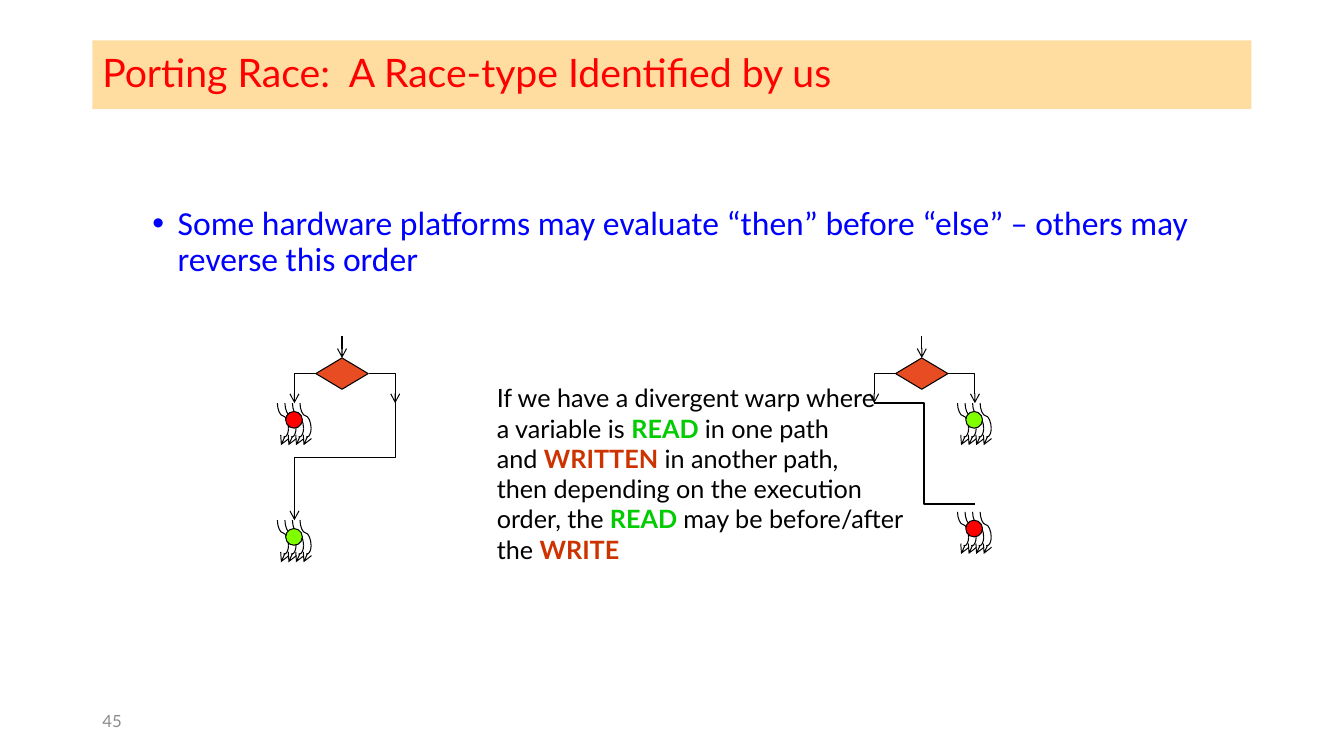
"""Build the slide on porting races in divergent warps."""
from lxml import etree
from pptx import Presentation
from pptx import util as u
from pptx.dml.color import RGBColor
from pptx.enum import shapes, text
from pptx.oxml.ns import qn

COLORS = {
    "band": "FFBD47", "title": "FF0000", "bullet": "0000FF", "number": "8C8C8C",
    "black": "000000", "decision": "E84C22", "write_dot": "FF0000", "read_dot": "80FF00",
    "read": "00CC00", "write": "CC3300",
}
TITLE = "Porting Race:  A Race-type Identified by us"
BULLET = "Some hardware platforms may evaluate “then” before “else” – others may reverse this order"
NUMBER = "45"
EXPLANATION = [
    [("If we have a divergent warp where", "black")],
    [("a variable is ", "black"), ("READ ", "read"), ("in one path", "black")],
    [("and ", "black"), ("WRITTEN", "write"), (" in another path,", "black")],
    [("then depending on the execution", "black")],
    [("order, the", "black"), (" READ ", "read"), ("may be before/after", "black")],
    [("the ", "black"), ("WRITE", "write")],
]
BRANCH_CENTERS = [8.62, 23.23]
WARPS = [
    (6.99, 10.16, "write_dot"), (6.99, 13.11, "read_dot"),
    (24.13, 12.9, "write_dot"), (24.13, 10.16, "read_dot"),
]
THREADS, THREAD_STEP = 4, 0.19

presentation = Presentation()
presentation.slide_width, presentation.slide_height = u.Cm(33.87), u.Cm(19.05)
slide = presentation.slides.add_slide(presentation.slide_layouts[6])


def color(name):
    """Return the named colour."""
    return RGBColor.from_string(COLORS[name])


def add_text(left, top, width, height):
    """Add a wrapping text box and return its frame."""
    box = slide.shapes.add_textbox(u.Cm(left), u.Cm(top), u.Cm(width), u.Cm(height))
    box.text_frame.word_wrap = True
    return box.text_frame


def style(font, size, name, family="Lato", bold=False):
    """Set size, colour, family and weight of a font."""
    font.size, font.name, font.bold = u.Pt(size), family, bold
    font.color.rgb = color(name)


def add_preset(kind, left, top, width, height, fill):
    """Add a filled preset shape without shadow."""
    shape = slide.shapes.add_shape(kind, u.Cm(left), u.Cm(top), u.Cm(width), u.Cm(height))
    shape.shadow.inherit = False
    shape.fill.solid()
    shape.fill.fore_color.rgb = color(fill)
    shape.line.color.rgb = color("black")
    shape.line.width = u.Pt(0.75)
    return shape


def add_line(preset, start, end, rotation=0, flip=False, arrow=True, weight=0.75):
    """Add a connector whose unrotated box is centred between its ends."""
    width, height = abs(end[0] - start[0]), abs(end[1] - start[1])
    if rotation in (90, 270):
        width, height = height, width
    left = (start[0] + end[0] - width) / 2
    top = (start[1] + end[1] - height) / 2
    connector = slide.shapes.add_connector(
        shapes.MSO_CONNECTOR.STRAIGHT, u.Cm(left), u.Cm(top), u.Cm(left + width), u.Cm(top + height))
    connector.line.color.rgb = color("black")
    connector.line.width = u.Pt(weight)
    properties = connector._element.spPr
    properties.find(qn("a:prstGeom")).set("prst", preset)
    frame = properties.find(qn("a:xfrm"))
    if rotation:
        frame.set("rot", str(rotation * 60000))
    if flip:
        frame.set("flipV", "1")
    if arrow:
        etree.SubElement(properties.find(qn("a:ln")), qn("a:tailEnd"), type="arrow")
    etree.SubElement(properties, qn("a:effectLst"))


def add_branch(center):
    """Draw a decision with its entry arrow and two outgoing arms."""
    top, middle, bottom = 9.02, 9.42, 10.16
    add_preset(shapes.MSO_SHAPE.DIAMOND, center - 0.66, top, 1.32, 0.79, "decision")
    add_line("line", (center, 8.46), (center, top))
    add_line("bentConnector2", (center - 0.66, middle), (center - 1.2, bottom), 180, True)
    add_line("bentConnector2", (center + 0.67, middle), (center + 1.34, bottom))


def add_warp(left, top):
    """Draw the curved threads of one warp."""
    for index in range(THREADS):
        x = left + index * THREAD_STEP
        knee = (x + 0.28, top + 0.64)
        add_line("curvedConnector3", knee, (x + 0.09, top + 1.06), 90)
        add_line("curvedConnector3", knee, (x, top), 270, True, arrow=False)


def main():
    """Compose the slide and save it."""
    band = add_preset(shapes.MSO_SHAPE.RECTANGLE, 2.33, 1.02, 29.21, 1.73, "band")
    band.line.fill.background()
    etree.SubElement(band._element.spPr.find(".//" + qn("a:srgbClr")), qn("a:alpha"), val="51000")
    frame = band.text_frame
    frame.text, frame.word_wrap = TITLE, True
    frame.vertical_anchor = text.MSO_ANCHOR.MIDDLE
    paragraph = frame.paragraphs[0]
    paragraph.alignment, paragraph.line_spacing = text.PP_ALIGN.LEFT, 0.9
    style(paragraph.runs[0].font, 28, "title")

    frame = add_text(2.33, 5.08, 29.21, 12.09)
    frame.text = BULLET
    paragraph = frame.paragraphs[0]
    paragraph.line_spacing = 0.9
    properties = paragraph._p.get_or_add_pPr()
    properties.set("marL", str(u.Cm(1.9)))
    properties.set("indent", str(-u.Cm(0.64)))
    etree.SubElement(properties, qn("a:buFont"), typeface="Arial")
    etree.SubElement(properties, qn("a:buChar"), char="•")
    style(paragraph.runs[0].font, 24, "bullet", "Calibri")

    frame = add_text(2.33, 17.65, 7.62, 1.02)
    frame.text = NUMBER
    frame.vertical_anchor = text.MSO_ANCHOR.MIDDLE
    style(frame.paragraphs[0].runs[0].font, 12, "number")

    for center in BRANCH_CENTERS:
        add_branch(center)
    for left, top, dot in WARPS:
        add_warp(left, top)
    add_line("bentConnector3", (9.96, 9.93), (7.42, 13.11), 90)
    add_line("bentConnector3", (22.02, 10.16), (24.56, 12.7), arrow=False, weight=1)
    for left, top, dot in WARPS:
        add_preset(shapes.MSO_SHAPE.OVAL, left + 0.21, top + 0.21, 0.42, 0.42, dot)

    frame = add_text(12.27, 9.52, 11.25, 4.88)
    frame.word_wrap = False
    frame.auto_size = text.MSO_AUTO_SIZE.SHAPE_TO_FIT_TEXT
    frame.text = "\n".join("".join(words for words, _ in line) for line in EXPLANATION)
    for paragraph, line in zip(frame.paragraphs, EXPLANATION):
        paragraph.clear()
        for words, name in line:
            run = paragraph.add_run()
            run.text = words
            style(run.font, 18, name, bold=name != "black")

    presentation.save("out.pptx")


if __name__ == "__main__":
    main()
